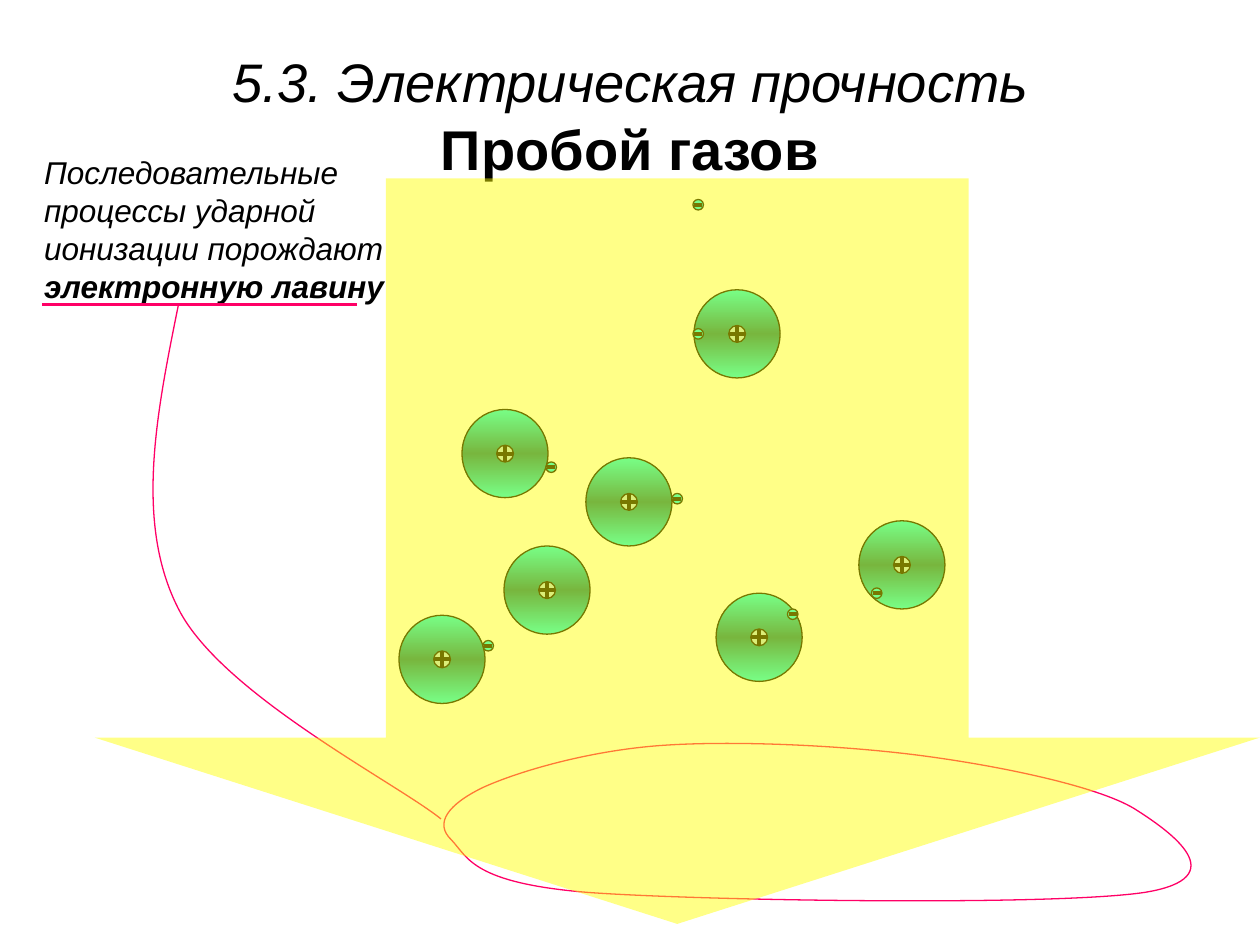
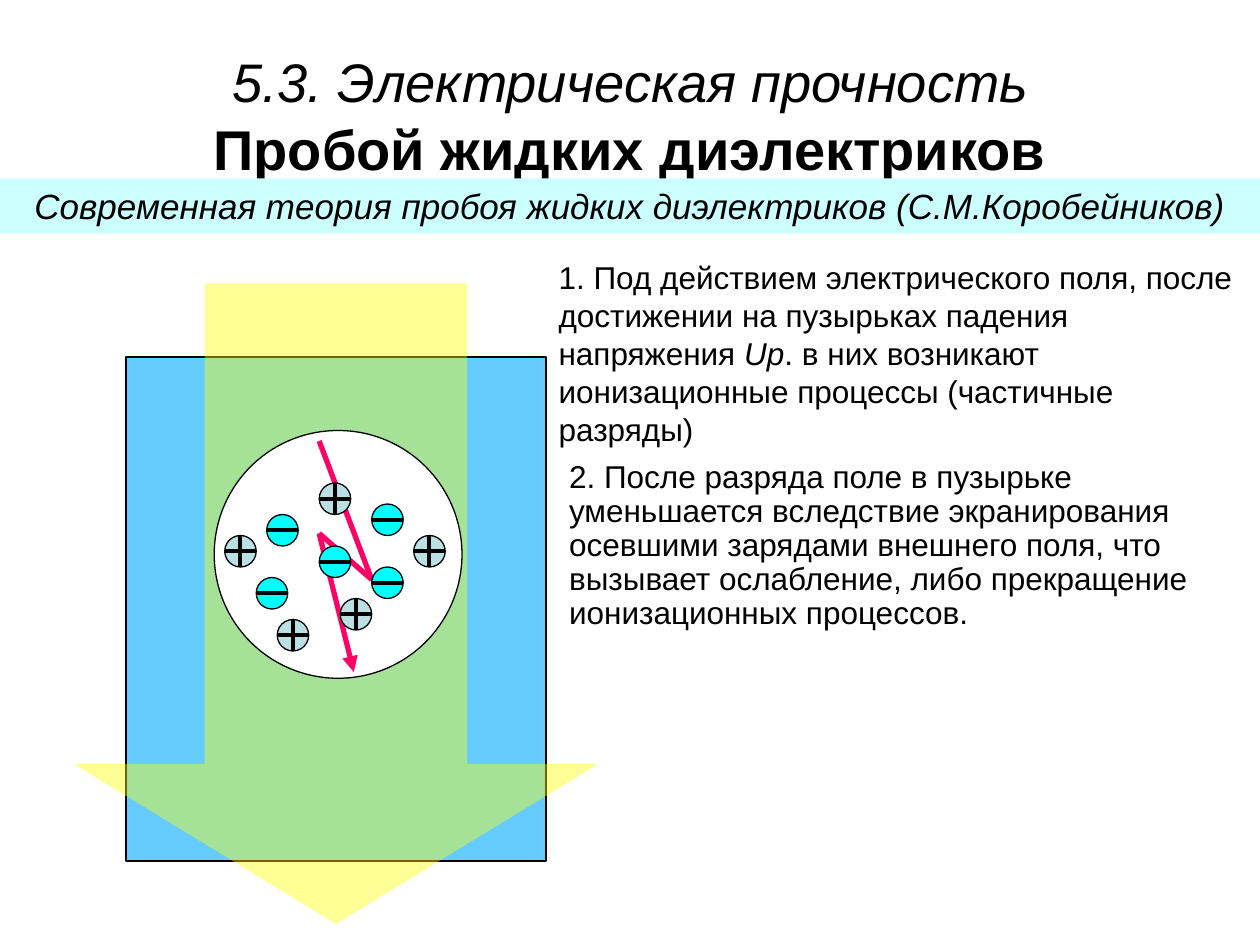
from copy import deepcopy
from dataclasses import dataclass

from lxml.etree import SubElement
from pptx import Presentation
from pptx.dml.color import RGBColor
from pptx.enum.shapes import MSO_CONNECTOR as Link, MSO_SHAPE as Preset
from pptx.enum.text import MSO_ANCHOR as Anchor, MSO_AUTO_SIZE as AutoSize, PP_ALIGN as Align
from pptx.oxml.ns import qn
from pptx.util import Inches, Pt

COLUMNS, ROWS = 120, 90
UNIT = Inches(10) / COLUMNS
FONT = "Arial"
BLACK, WHITE, PINK, YELLOW = "000000", "FFFFFF", "FF0066", "FFFF00"
CYAN, DEEP_CYAN, PALE_BLUE, BAND, LIQUID = "00FFFF", "007676", "BBE0E3", "CCFFFF", "66CCFF"


@dataclass
class Box:
    """A region measured in grid columns and rows."""
    x: float
    y: float
    w: float
    h: float

    def inner(self, x, y, w, h):
        """Return a box placed relative to this one."""
        return Box(self.x + x, self.y + y, w, h)

    def centred(self, size):
        """Return a square box in the middle of this one."""
        return self.inner((self.w - size) / 2, (self.h - size) / 2, size, size)

    def point(self, x, y):
        """Return a point given as shares of the box."""
        return self.x + x * self.w, self.y + y * self.h

    def emu(self):
        """Return left, top, width and height in slide units."""
        return [length(v) for v in (self.x, self.y, self.w, self.h)]


PAGE = Box(0, 0, COLUMNS, ROWS)


def length(cells):
    """Convert grid cells to slide units."""
    return round(cells * UNIT)


def rgb(colour):
    """Turn a hex string into a colour."""
    return RGBColor.from_string(colour)


def draw_shape(shapes, preset, box, fill, outline=None, alpha=None):
    """Draw a preset shape with an optional thin outline and transparency."""
    shape = shapes.add_shape(preset, *box.emu())
    shape.shadow.inherit = False
    shape.fill.solid()
    shape.fill.fore_color.rgb = rgb(fill)
    if alpha:
        colour = shape._element.spPr.find(".//" + qn("a:srgbClr"))
        SubElement(colour, qn("a:alpha")).set("val", str(alpha * 1000))
    if outline:
        shape.line.color.rgb = rgb(outline)
        shape.line.width = Pt(0.75)
    else:
        shape.line.fill.background()
    return shape


def draw_line(shapes, start, end, colour, width, arrow=False):
    """Draw a straight line between two grid points."""
    line = shapes.add_connector(Link.STRAIGHT, *[length(v) for v in (*start, *end)])
    line.line.color.rgb = rgb(colour)
    line.line.width = Pt(width)
    properties = line._element.spPr
    if arrow:
        SubElement(properties.find(qn("a:ln")), qn("a:tailEnd")).set("type", "triangle")
    SubElement(properties, qn("a:effectLst"))


def draw_curve(shapes, start, knots, closed=False):
    """Draw a thin pink outline, each three knots making one cubic curve."""
    builder = shapes.build_freeform(*[length(v) for v in start])
    builder.add_line_segments([(length(x), length(y)) for x, y in knots], close=closed)
    curve = builder.convert_to_shape()
    outline = curve._element.spPr.find(".//" + qn("a:path"))
    sides = outline.findall(qn("a:lnTo"))
    for first in range(0, len(sides), 3):
        cubic = outline.makeelement(qn("a:cubicBezTo"))
        sides[first].addprevious(cubic)
        for side in sides[first:first + 3]:
            cubic.append(side[0])
            outline.remove(side)
    curve.shadow.inherit = False
    curve.fill.background()
    curve.line.color.rgb = rgb(PINK)
    curve.line.width = Pt(0.75)


def write(frame, paragraphs, align=Align.LEFT):
    """Fill a frame with (runs, line spacing, space before) paragraphs."""
    frame.word_wrap = True
    frame.auto_size = AutoSize.NONE
    frame.vertical_anchor = Anchor.TOP
    for index, (runs, spacing, before) in enumerate(paragraphs):
        paragraph = frame.add_paragraph() if index else frame.paragraphs[0]
        properties = paragraph._p.get_or_add_pPr()
        properties.set("marL", "0")
        properties.set("indent", "0")
        SubElement(properties, qn("a:buNone"))
        paragraph.alignment = align
        paragraph.line_spacing = spacing
        paragraph.space_before = Pt(before)
        for text, size, style in runs:
            run = paragraph.add_run()
            run.text = text
            run.font.name = FONT
            run.font.size = Pt(size)
            run.font.bold = "b" in style
            run.font.italic = "i" in style
            run.font.color.rgb = rgb(BLACK)


def fill_placeholder(holder, box, paragraphs, align=Align.LEFT):
    """Move a placeholder to its box and write its text."""
    holder.left, holder.top, holder.width, holder.height = box.emu()
    write(holder.text_frame, paragraphs, align)


def add_heading(slide, topic):
    """Write the chapter name and the topic of the slide."""
    fill_placeholder(slide.shapes.title, PAGE.inner(1, 4, 118, 13.3), [
        ([("5.3. Электрическая прочность", 31, "i")], 1, 0),
        ([(topic, 32, "b")], 0.4, 20),
    ], Align.CENTER)


def draw_field_arrow(shapes, box, head, alpha):
    """Draw the translucent arrow of the electric field."""
    arrow = draw_shape(shapes, Preset.DOWN_ARROW, box, YELLOW, alpha=alpha)
    arrow.adjustments[0] = 0.5
    arrow.adjustments[1] = head


def draw_charge(shapes, box, positive, inset=0):
    """Draw a charged particle with its plus or minus sign."""
    particle = shapes.add_group_shape().shapes
    draw_shape(particle, Preset.OVAL, box, PALE_BLUE if positive else CYAN, BLACK)
    draw_line(particle, box.point(inset, 0.5), box.point(1 - inset, 0.5), BLACK, 2.25)
    if positive:
        draw_line(particle, box.point(0.5, 0), box.point(0.5, 1), BLACK, 2.25)


def draw_atom(shapes, box):
    """Draw a shaded atom with a positive ion in its middle."""
    cloud = draw_shape(shapes, Preset.OVAL, box, CYAN, BLACK)
    cloud.fill.gradient()
    cloud.fill.gradient_angle = 90
    stops = cloud._element.spPr.find(".//" + qn("a:gsLst"))
    stops.insert(1, deepcopy(stops[0]))
    for stop, colour, position in zip(cloud.fill.gradient_stops,
                                      (CYAN, DEEP_CYAN, CYAN), (0, 0.5, 1)):
        stop.color.rgb = rgb(colour)
        stop.position = position
    draw_charge(shapes, box.centred(1.6), True)


def draw_avalanche(shapes, box):
    """Draw the atoms and the electrons set free among them."""
    for x, y in ((57.1, 10.6), (46.8, 26.6), (35, 22), (29, 41.6),
                 (39, 35), (59.2, 39.5), (72.8, 32.6)):
        draw_atom(shapes, box.inner(x, y, 8.2, 8.4))
    for x, y in ((57, 2), (57, 14.3), (43, 27), (55, 30), (37, 44), (66, 41), (74, 39)):
        draw_charge(shapes, box.inner(x, y, 1, 1), False, 0.1)


def draw_callout(shapes):
    """Underline the key term and lead from it to the avalanche front."""
    draw_line(shapes, (4, 29), (34, 29), PINK, 2.25)
    draw_curve(shapes, (43, 80), [
        (41.3, 78.4), (42.7, 76.6), (46, 75),
        (49.3, 73.5), (56, 71.5), (63, 71),
        (70, 70.5), (80.5, 71), (88, 72),
        (95.5, 73), (104.5, 74.9), (108, 77),
        (111.5, 79.2), (117.7, 83.6), (109, 85),
        (100.3, 86.3), (67, 85.8), (56, 85),
        (45, 84.1), (44.6, 81.7), (43, 80),
    ], closed=True)
    draw_curve(shapes, (17, 29), [
        (14.9, 39.4), (12.8, 49.8), (17, 58),
        (21.1, 66.1), (37.8, 74.6), (42, 78),
    ])


def draw_bubble(shapes, box):
    """Draw the gas bubble with its discharge path and charges."""
    draw_shape(shapes, Preset.OVAL, box, WHITE, BLACK)
    discharge = [(box.x + x, box.y + y)
                 for x, y in ((10, 1), (15, 14.2), (10, 9.8), (13.3, 23))]
    zigzag = shapes.add_group_shape().shapes
    for start, end in zip(discharge, discharge[1:]):
        draw_line(zigzag, start, end, PINK, 3, arrow=end == discharge[-1])
    ions = (10, 5), (19, 10), (12, 16), (1, 10), (6, 18)
    electrons = (10, 11), (4, 14), (15, 13), (15, 7), (5, 8)
    for positive, places in ((True, ions), (False, electrons)):
        for x, y in places:
            draw_charge(shapes, box.inner(x, y, 3, 3), positive)


def build_gas_slide(prs):
    """Build the slide on breakdown of gases."""
    slide = prs.slides.add_slide(prs.slide_layouts[1])
    add_heading(slide, "Пробой газов")
    fill_placeholder(slide.placeholders[1], PAGE.inner(3, 14, 38, 15.6), [
        ([("Последовательные процессы ударной ионизации порождают ", 18, "i"),
          ("электронную лавину", 18, "bi")], 1, 0),
    ])
    field = PAGE.inner(9, 17, 111, 71)
    draw_avalanche(slide.shapes, field)
    draw_callout(slide.shapes)
    draw_field_arrow(slide.shapes, field, 0.25, 47)


def build_liquid_slide(prs):
    """Build the slide on breakdown of liquid dielectrics."""
    slide = prs.slides.add_slide(prs.slide_layouts[3])
    add_heading(slide, "Пробой жидких диэлектриков")
    first, second = list(slide.placeholders)[1:]
    fill_placeholder(first, PAGE.inner(52, 24, 68, 19.2), [
        ([("1. Под действием электрического поля, после достижении на пузырьках "
           "падения напряжения ", 18, ""), ("Up", 18, "i"),
          (". в них возникают ионизационные процессы (частичные разряды)", 18, "")], 1, 0),
    ])
    fill_placeholder(second, PAGE.inner(53, 43.3, 65, 17.4), [
        ([("2. После разряда поле в пузырьке уменьшается вследствие экранирования "
           "осевшими зарядами внешнего поля, что вызывает ослабление, либо "
           "прекращение ионизационных процессов.", 18, "")], 0.9, 0),
    ])
    theory = draw_shape(slide.shapes, Preset.RECTANGLE, PAGE.inner(0, 17, COLUMNS, 5.25), BAND)
    write(theory.text_frame, [
        ([("Современная теория пробоя жидких диэлектриков (С.М.Коробейников)", 20, "i")], 1, 0),
    ], Align.CENTER)
    liquid = PAGE.inner(12, 34, 40, 48)
    draw_shape(slide.shapes, Preset.RECTANGLE, liquid, LIQUID, BLACK)
    draw_field_arrow(slide.shapes, liquid.inner(-5, -7, 50, 61), 0.305, 41)
    draw_bubble(slide.shapes, liquid.inner(8.4, 7, 23.6, 23.6))


def main():
    """Build and save the presentation."""
    prs = Presentation()
    prs.slide_width, prs.slide_height = length(COLUMNS), length(ROWS)
    build_gas_slide(prs)
    build_liquid_slide(prs)
    prs.save("out.pptx")


if __name__ == "__main__":
    main()
